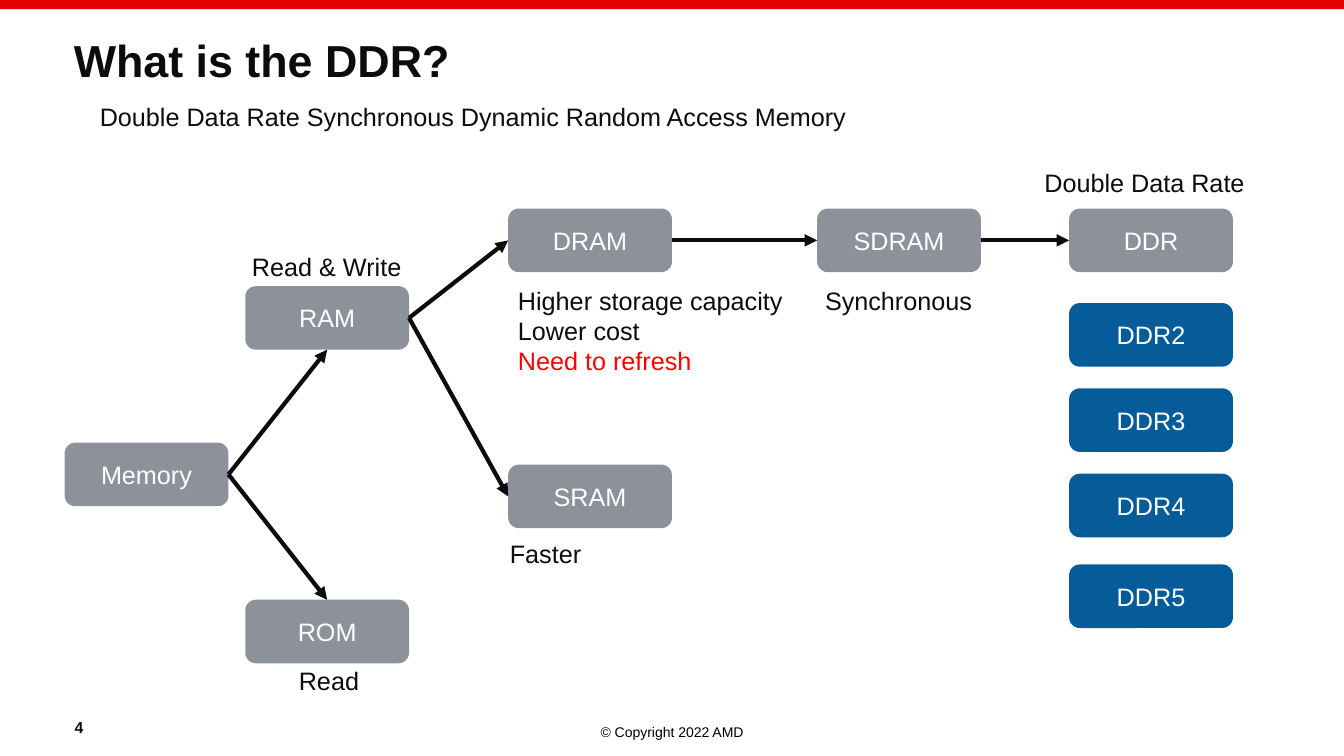
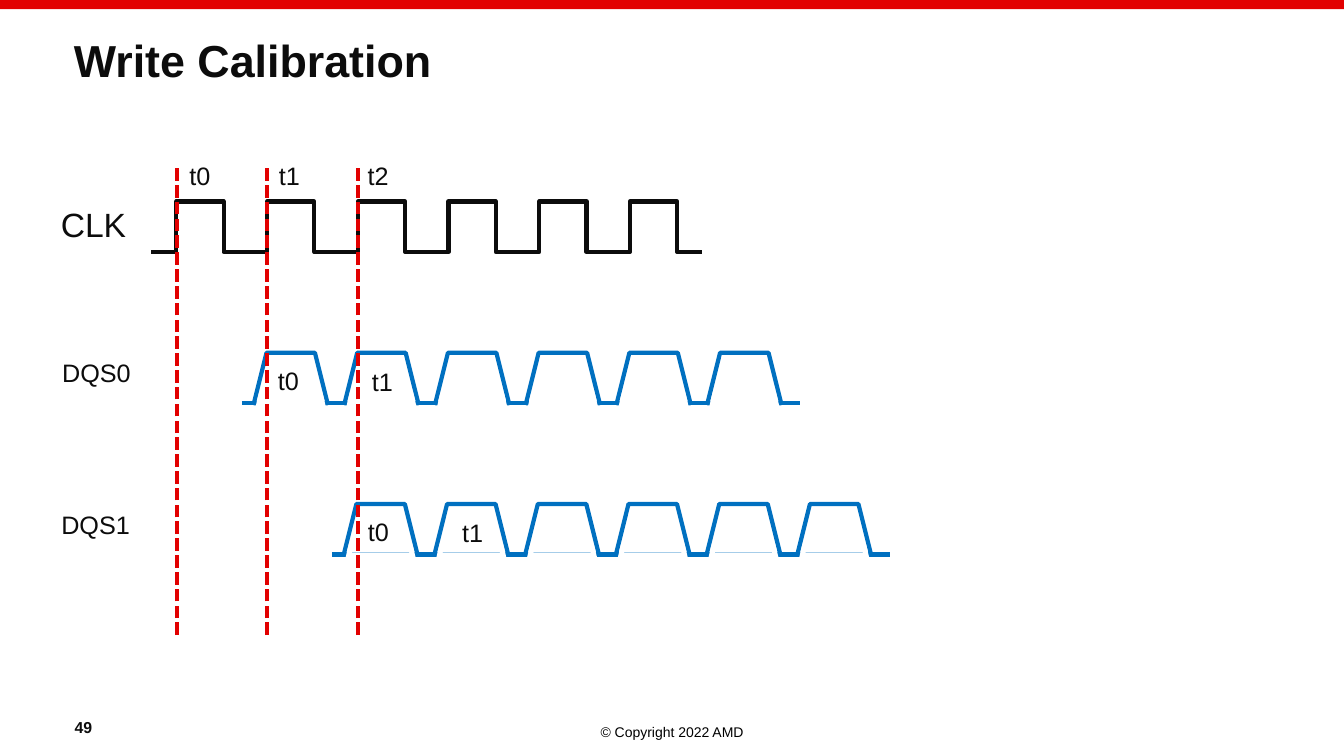
from dataclasses import dataclass

from lxml import etree
from pptx import Presentation
from pptx.dml.color import RGBColor
from pptx.enum import dml, shapes, text as txt
from pptx.oxml import ns
from pptx.shapes.autoshape import Shape
from pptx.shapes.connector import Connector
from pptx.slide import Slide
from pptx.text.text import TextFrame
from pptx.util import Pt

FONT = "Arial"
INK = RGBColor(0x0C, 0x0C, 0x0C)
BLACK = RGBColor(0, 0, 0)
WHITE = RGBColor(0xFF, 0xFF, 0xFF)
RED = RGBColor(0xE2, 0, 0)
ALERT = RGBColor(0xFF, 0, 0)
GRAY = RGBColor(0x8D, 0x91, 0x9A)
BLUE = RGBColor(0x05, 0x5C, 0x99)
SIGNAL_BLUE = RGBColor(0, 0x70, 0xC0)

PAGE_WIDTH, PAGE_HEIGHT = 960, 540
NODE_WIDTH, NODE_HEIGHT = 117, 45.4
LABEL_HEIGHT = 29
STROKE = 3
TOP, LEFT, BOTTOM, RIGHT = range(4)

PERIOD = 64.8
PULSES = 6
SWING = 36


@dataclass(frozen=True)
class Node:
    name: str
    left: float
    top: float
    fill: RGBColor = GRAY


@dataclass(frozen=True)
class Arrow:
    source: str
    target: str
    target_side: int = LEFT


@dataclass(frozen=True)
class Label:
    text: str
    left: float
    top: float
    width: float
    size: float = 18


@dataclass(frozen=True)
class Wave:
    """A pulse train: where it starts and its high level."""
    start: float
    high: float


DDR_LEFT = 763.7
NODES = [
    Node("Memory", 46.2, 316.2),
    Node("ROM", 175.2, 428.4),
    Node("RAM", 175.2, 204.4),
    Node("DRAM", 363, 149),
    Node("SRAM", 363, 331.9),
    Node("SDRAM", 583.7, 149),
    Node("DDR", DDR_LEFT, 149),
    Node("DDR2", DDR_LEFT, 216.5, BLUE),
    Node("DDR3", DDR_LEFT, 277.4, BLUE),
    Node("DDR4", DDR_LEFT, 338.4, BLUE),
    Node("DDR5", DDR_LEFT, 403.2, BLUE),
]
ARROWS = [
    Arrow("Memory", "RAM", BOTTOM),
    Arrow("Memory", "ROM", TOP),
    Arrow("RAM", "DRAM"),
    Arrow("RAM", "SRAM"),
    Arrow("DRAM", "SDRAM"),
    Arrow("SDRAM", "DDR"),
]
MEMORY_LABELS = [
    Label("Double Data Rate Synchronous Dynamic Random Access Memory", 64.2, 68.7, 581),
    Label("Read", 206.4, 472, 92),
    Label("Read & Write", 172.9, 176, 126),
    Label("Faster", 357.1, 381.3, 206),
    Label("Synchronous", 582.2, 200.3, 126),
    Label("Double Data Rate", 738.9, 116, 166),
]
STORAGE_LABEL = Label("Higher storage capacity\nLower cost\nNeed to refresh", 362.9, 200.2, 206)

CLOCK = Wave(108, 144)
STROBES = [Wave(172.8, 252), Wave(237, 360)]
TIMING_LABELS = [
    Label("CLK", 36.3, 142, 361, 24),
    Label("DQS0", 37.3, 252, 67),
    Label("DQS1", 36.7, 360.3, 67),
    Label("t0", 128.2, 111, 33),
    Label("t1", 192.2, 111, 33),
    Label("t2", 255.5, 111, 33),
    Label("t0", 191.4, 257.3, 33),
    Label("t1", 258.6, 258, 33),
    Label("t0", 255.7, 365.3, 33),
    Label("t1", 323, 366, 33),
]
FIRST_EDGE = 126.2
MARKERS = 3
MARKER_TOP, MARKER_BOTTOM = 119, 453.6


def write(frame: TextFrame, text: str, *, size: float = 18, color: RGBColor = INK,
          bold: bool = False, align=txt.PP_ALIGN.LEFT, anchor=txt.MSO_ANCHOR.TOP,
          line_spacing: float = 1.0) -> None:
    """Fill a frame with one paragraph per line of text."""
    frame.word_wrap = True
    frame.vertical_anchor = anchor
    for index, line in enumerate(text.split("\n")):
        para = frame.add_paragraph() if index else frame.paragraphs[0]
        para.alignment = align
        para.line_spacing = line_spacing
        span = para.add_run()
        span.text = line
        span.font.name = FONT
        span.font.size = Pt(size)
        span.font.bold = bold
        span.font.color.rgb = color


def add_text(page: Slide, text: str, left: float, top: float, width: float,
             height: float = LABEL_HEIGHT, **style) -> Shape:
    box = page.shapes.add_textbox(Pt(left), Pt(top), Pt(width), Pt(height))
    write(box.text_frame, text, **style)
    return box


def add_label(page: Slide, label: Label) -> Shape:
    return add_text(page, label.text, label.left, label.top, label.width, size=label.size)


def add_filled(page: Slide, kind, left: float, top: float, width: float,
               height: float, fill: RGBColor) -> Shape:
    shape = page.shapes.add_shape(kind, Pt(left), Pt(top), Pt(width), Pt(height))
    shape.shadow.inherit = False
    shape.fill.solid()
    shape.fill.fore_color.rgb = fill
    shape.line.fill.background()
    return shape


def add_line(page: Slide, x1: float, y1: float, x2: float, y2: float, color: RGBColor,
             kind=shapes.MSO_CONNECTOR.STRAIGHT) -> Connector:
    line = page.shapes.add_connector(kind, Pt(x1), Pt(y1), Pt(x2), Pt(y2))
    line.line.color.rgb = color
    line.line.width = Pt(STROKE)
    etree.SubElement(line._element.spPr, ns.qn("a:effectLst"))
    return line


def add_node(page: Slide, node: Node) -> Shape:
    box = add_filled(page, shapes.MSO_SHAPE.ROUNDED_RECTANGLE, node.left, node.top,
                     NODE_WIDTH, NODE_HEIGHT, node.fill)
    write(box.text_frame, node.name, color=WHITE, align=txt.PP_ALIGN.CENTER,
          anchor=txt.MSO_ANCHOR.MIDDLE)
    return box


def add_arrow(page: Slide, source: Shape, target: Shape, target_side: int) -> None:
    line = add_line(page, 0, 0, 0, 0, INK)
    line.begin_connect(source, RIGHT)
    line.end_connect(target, target_side)
    etree.SubElement(line.line._get_or_add_ln(), ns.qn("a:tailEnd"), type="triangle")


def add_square_pulse(page: Slide, left: float, high: float) -> None:
    """Join a falling and a rising elbow at the high level."""
    for start, end in ((33.8, 69.8), (36, 0)):
        add_line(page, left + start, high, left + end, high + SWING, INK,
                 shapes.MSO_CONNECTOR.ELBOW)


def add_sloped_pulse(page: Slide, left: float, high: float) -> None:
    """Draw a trapezoid on a base line and clear the base between its legs."""
    low = high + SWING
    add_line(page, left, low, left + 74.5, low, SIGNAL_BLUE)
    pulse = add_filled(page, shapes.MSO_SHAPE.TRAPEZOID, left + 8.6, high, 52.6, SWING, WHITE)
    pulse.fill.background()
    pulse.line.color.rgb = SIGNAL_BLUE
    pulse.line.width = Pt(STROKE)
    for offset, width, height, angle in ((10.8, 48.2, 7.2, 0), (4.3, 15.8, 3.6, 104),
                                         (49.7, 15.8, 3.6, 255.5)):
        gap = add_filled(page, shapes.MSO_SHAPE.RECTANGLE, left + offset, low - 1.4,
                         width, height, WHITE)
        gap.rotation = angle


def add_wave(page: Slide, wave: Wave, add_pulse) -> None:
    for index in range(PULSES):
        add_pulse(page, wave.start + index * PERIOD, wave.high)


def add_page(deck, title: str, number: int) -> Slide:
    """Add a blank slide with the red band, footer, title and page number."""
    page = deck.slides.add_slide(deck.slide_layouts[6])
    add_text(page, "© Copyright 2022 AMD", 0, 513.2, PAGE_WIDTH, 19.4, size=10,
             color=BLACK, align=txt.PP_ALIGN.CENTER)
    add_filled(page, shapes.MSO_SHAPE.RECTANGLE, 0, 0, PAGE_WIDTH, 6.6, RED)
    add_text(page, title, 45.7, 24.2, 869, 46, size=32, bold=True, line_spacing=0.9)
    add_text(page, str(number), 46.3, 500.6, 77, size=11.3, bold=True,
             anchor=txt.MSO_ANCHOR.BOTTOM)
    return page


def build_memory_page(deck) -> None:
    page = add_page(deck, "What is the DDR?", 4)
    boxes = {node.name: add_node(page, node) for node in NODES}
    for arrow in ARROWS:
        add_arrow(page, boxes[arrow.source], boxes[arrow.target], arrow.target_side)
    for label in MEMORY_LABELS:
        add_label(page, label)
    storage = add_label(page, STORAGE_LABEL)
    storage.height = Pt(72.7)
    storage.text_frame.paragraphs[-1].runs[0].font.color.rgb = ALERT


def build_timing_page(deck) -> None:
    page = add_page(deck, "Write Calibration", 49)
    add_wave(page, CLOCK, add_square_pulse)
    for strobe in STROBES:
        add_wave(page, strobe, add_sloped_pulse)
    for label in TIMING_LABELS:
        add_label(page, label)
    for index in range(MARKERS):
        x = FIRST_EDGE + index * PERIOD
        marker = add_line(page, x, MARKER_BOTTOM, x, MARKER_TOP, RED)
        marker.line.dash_style = dml.MSO_LINE.SQUARE_DOT


def main() -> None:
    deck = Presentation()
    deck.slide_width, deck.slide_height = Pt(PAGE_WIDTH), Pt(PAGE_HEIGHT)
    build_memory_page(deck)
    build_timing_page(deck)
    deck.save("out.pptx")


if __name__ == "__main__":
    main()
